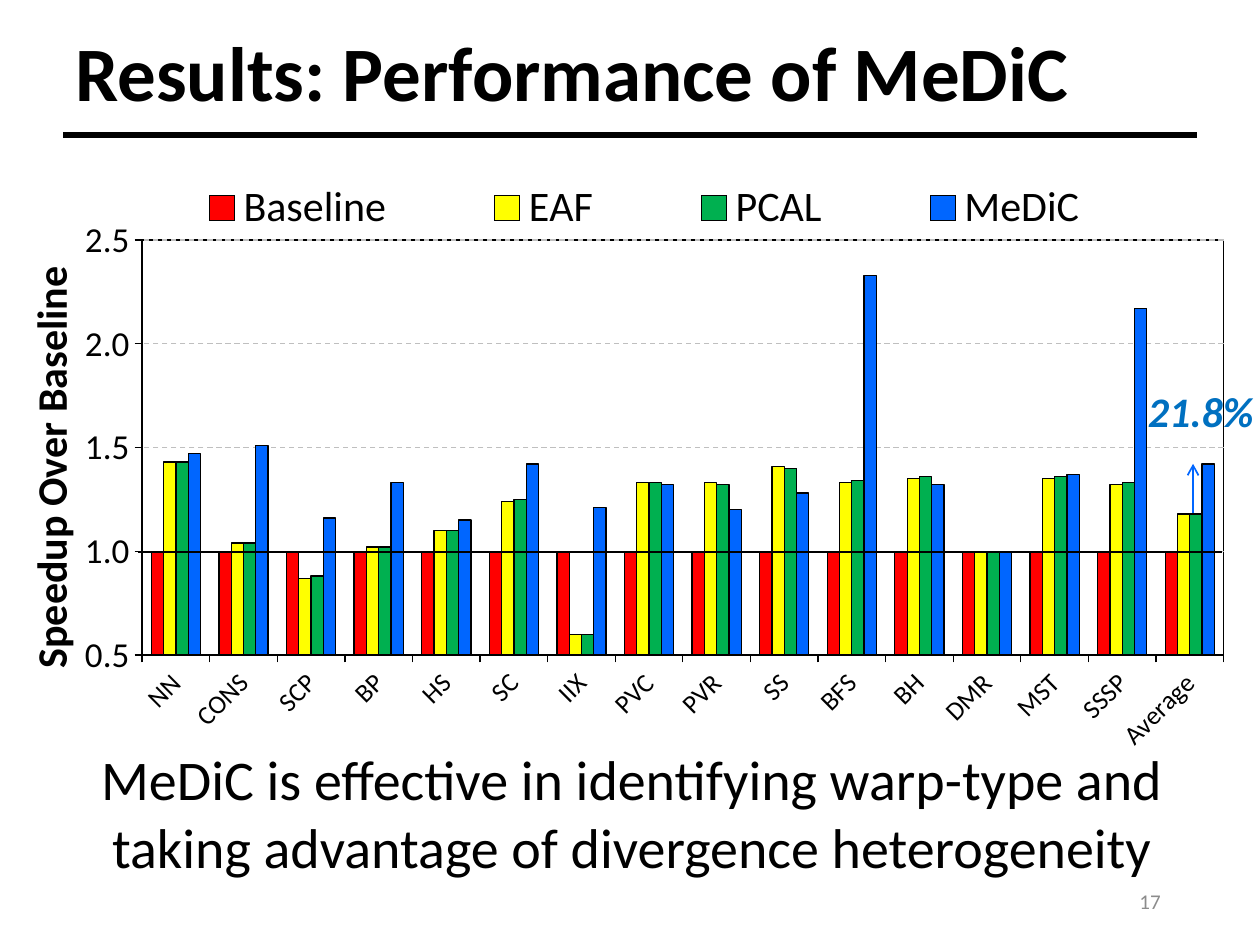
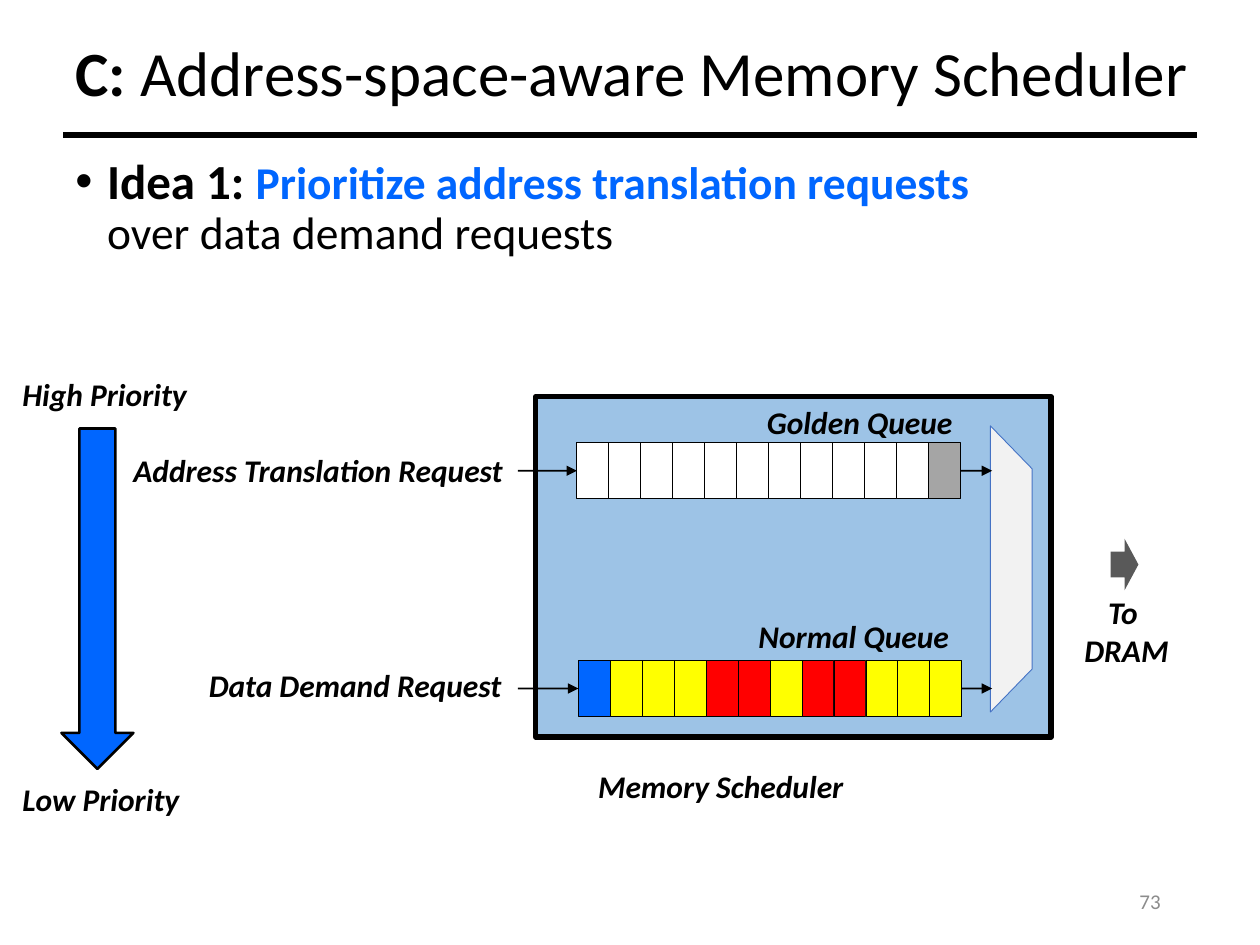
"""Build two slides: a speedup chart and a memory scheduler diagram."""
from dataclasses import dataclass
from typing import NamedTuple

from lxml.etree import SubElement
from pptx import Presentation
from pptx.chart.data import CategoryChartData
from pptx.dml.color import RGBColor
from pptx.enum.chart import XL_CHART_TYPE, XL_LEGEND_POSITION, XL_TICK_MARK
from pptx.enum.dml import MSO_LINE
from pptx.enum.shapes import MSO_CONNECTOR, MSO_SHAPE as SHAPE
from pptx.enum.text import MSO_ANCHOR as ANCHOR, MSO_AUTO_SIZE as FIT, PP_ALIGN as ALIGN
from pptx.oxml import parse_xml
from pptx.oxml.ns import nsdecls, qn
from pptx.util import Cm, Pt


@dataclass(frozen=True)
class Theme:
    """Colours, font and type sizes of the deck."""
    font: str = "Calibri"
    black: str = "000000"
    white: str = "FFFFFF"
    blue: str = "0066FF"
    gain: str = "0070C0"
    red: str = "FF0000"
    yellow: str = "FFFF00"
    green: str = "00B050"
    grid: str = "BFBFBF"
    number: str = "8C8C8C"
    scheduler: str = "9DC3E6"
    golden: str = "A5A5A5"
    mux: str = "F2F2F2"
    mux_line: str = "4472C4"
    exit: str = "595959"
    title_size: int = 44
    long_title_size: int = 36
    caption_size: int = 32
    idea_size: int = 28
    detail_size: int = 26
    chart_size: int = 24
    value_size: int = 20
    label_size: int = 18
    category_size: int = 15
    number_size: int = 12


T = Theme()


class Box(NamedTuple):
    """Left, top, width and height in centimetres."""
    left: float
    top: float
    width: float
    height: float

    def emu(self) -> list:
        """Return the four lengths for a drawing call."""
        return [Cm(v) for v in self]


class Run(NamedTuple):
    """A piece of text in one style."""
    text: str
    size: int
    color: str = T.black
    bold: bool = False
    italic: bool = False


class Series(NamedTuple):
    """One chart series with its colour."""
    name: str
    color: str
    values: tuple


class Queue(NamedTuple):
    """A request queue with its labels and cell colours."""
    name: str
    name_box: Box
    request: str
    request_box: Box
    left: float
    top: float
    colors: list


TITLE = Box(1.27, 0.36, 22.86, 2.36)
CHART = Box(-0.2, 3.18, 25.12, 14.55)
CELL_W, CELL_H = 7.73 / 12, 1.14
ENTRY_X, MUX_X = 10.44, 20.0

CATEGORIES = ("NN CONS SCP BP HS SC IIX PVC PVR SS BFS BH DMR MST SSSP "
              "Average").split()
SERIES = [
    Series("Baseline", T.red, (1,) * 16),
    Series("EAF", T.yellow, (1.43, 1.04, 0.87, 1.02, 1.1, 1.24, 0.6, 1.33,
                             1.33, 1.41, 1.33, 1.35, 1, 1.35, 1.32, 1.18)),
    Series("PCAL", T.green, (1.43, 1.04, 0.88, 1.02, 1.1, 1.25, 0.6, 1.33,
                             1.32, 1.4, 1.34, 1.36, 1, 1.36, 1.33, 1.18)),
    Series("MeDiC", T.blue, (1.47, 1.51, 1.16, 1.33, 1.15, 1.42, 1.21, 1.32,
                             1.2, 1.28, 2.33, 1.32, 1, 1.37, 2.17, 1.42)),
]
QUEUES = [
    Queue("Golden Queue", Box(15.21, 8, 4.29, 1.02),
          "Address Translation Request", Box(2.44, 8.97, 8.05, 1.02),
          11.63, 8.92, [T.white] * 11 + [T.golden]),
    Queue("Normal Queue", Box(15.04, 12.32, 4.39, 1.02),
          "Data Demand Request", Box(3.96, 13.31, 6.48, 1.02),
          11.66, 13.31,
          [T.blue] + [T.yellow] * 3 + [T.red] * 2 + [T.yellow]
          + [T.red] * 2 + [T.yellow] * 3),
]


def rgb(color: str) -> RGBColor:
    """Turn a hex string into a colour."""
    return RGBColor.from_string(color)


def set_font(font, size: int, color: str = T.black, bold: bool = False,
             italic: bool = False) -> None:
    """Apply the deck font in one style."""
    fmt = {"name": T.font, "size": Pt(size), "bold": bold, "italic": italic}
    for key, value in fmt.items():
        setattr(font, key, value)
    font.color.rgb = rgb(color)


def set_line(line, color: str, width: float) -> None:
    """Give a line its colour and its width in points."""
    line.color.rgb = rgb(color)
    line.width = Pt(width)


def add_text(s, box: Box, *paragraphs: list[Run], wrap: bool = True,
             anchor=ANCHOR.TOP, align=ALIGN.LEFT, fit=FIT.NONE, **fmt):
    """Add a text box and return its text frame."""
    tf = s.shapes.add_textbox(*box.emu()).text_frame
    for key, value in {"word_wrap": wrap, "vertical_anchor": anchor,
                       "auto_size": fit}.items():
        setattr(tf, key, value)
    for i, runs in enumerate(paragraphs):
        p = tf.add_paragraph() if i else tf.paragraphs[0]
        for key, value in {"alignment": align, **fmt}.items():
            setattr(p, key, value)
        for run in runs:
            if run.text == "\n":
                p.add_line_break()
                continue
            r = p.add_run()
            r.text = run.text
            set_font(r.font, *run[1:])
    return tf


def add_label(s, text: str, box: Box) -> None:
    """Add a one-line bold italic label."""
    add_text(s, box, [Run(text, T.label_size, bold=True, italic=True)],
             wrap=False, fit=FIT.SHAPE_TO_FIT_TEXT)


def add_shape(s, kind, box: Box, fill: str, line: str | None = T.black,
              width: float = 0.5, rotation: float = 0):
    """Add a filled preset shape."""
    sp = s.shapes.add_shape(kind, *box.emu())
    sp.shadow.inherit = False
    sp.rotation = rotation
    sp.fill.solid()
    sp.fill.fore_color.rgb = rgb(fill)
    if line:
        set_line(sp.line, line, width)
    else:
        sp.line.fill.background()
    return sp


def add_line(s, x1: float, y1: float, x2: float, y2: float,
             color: str = T.black, width: float = 1, **ends: str):
    """Add a straight line; ends maps headEnd or tailEnd to an arrow type."""
    c = s.shapes.add_connector(MSO_CONNECTOR.STRAIGHT,
                               Cm(x1), Cm(y1), Cm(x2), Cm(y2))
    set_line(c.line, color, width)
    ln = c.line._get_or_add_ln()
    for end, kind in ends.items():
        SubElement(ln, qn(f"a:{end}"), type=kind)
    SubElement(c._element.spPr, qn("a:effectLst"))
    return c


def add_frame(s, title: list[Run], number: int, width: float) -> None:
    """Add the title, the rule below it and the slide number."""
    add_text(s, TITLE._replace(width=width), title, anchor=ANCHOR.MIDDLE,
             line_spacing=0.9)
    add_line(s, 1.27, 2.72, 24.13, 2.72, width=3)
    add_text(s, Box(17.93, 17.65, 5.72, 1.02),
             [Run(str(number), T.number_size, T.number)],
             anchor=ANCHOR.MIDDLE, align=ALIGN.RIGHT)


def set_layout(parent, index: int, inner: bool = False, **place: float) -> None:
    """Place a chart part by fractions of the chart area."""
    for old in parent.findall(qn("c:layout")):
        parent.remove(old)
    target = '<c:layoutTarget val="inner"/>' if inner else ""
    modes = '<c:xMode val="edge"/><c:yMode val="edge"/>'
    values = "".join(f'<c:{k} val="{v}"/>' for k, v in place.items())
    parent.insert(index, parse_xml(
        f'<c:layout {nsdecls("c")}><c:manualLayout>{target}{modes}{values}'
        '</c:manualLayout></c:layout>'))


def clear_area(line: str):
    """Return chart area properties without fill and with the given line."""
    return parse_xml(f'<c:spPr {nsdecls("c", "a")}><a:noFill/>{line}</c:spPr>')


def add_speedup_chart(s) -> None:
    """Add the clustered columns of speedup by benchmark."""
    data = CategoryChartData()
    data.categories = CATEGORIES
    for series in SERIES:
        data.add_series(series.name, series.values)
    chart = s.shapes.add_chart(XL_CHART_TYPE.COLUMN_CLUSTERED, *CHART.emu(),
                               data).chart
    set_font(chart.font, T.category_size)
    chart.has_title = False
    chart.has_legend = True
    chart.legend.position = XL_LEGEND_POSITION.TOP
    chart.legend.include_in_layout = False
    set_font(chart.legend.font, T.chart_size)

    plot = chart.plots[0]
    plot.gap_width, plot.overlap, plot.vary_by_categories = 150, 0, False
    for series, bars in zip(SERIES, plot.series):
        bars.format.fill.solid()
        bars.format.fill.fore_color.rgb = rgb(series.color)
        set_line(bars.format.line, T.black, 0.75)

    cat, val = chart.category_axis, chart.value_axis
    for axis, size in ((cat, T.category_size), (val, T.value_size)):
        axis.major_tick_mark = XL_TICK_MARK.OUTSIDE
        set_font(axis.tick_labels.font, size)
        set_line(axis.format.line, T.black, 0.75)
    for key, value in {"minimum_scale": 0.5, "maximum_scale": 2.5,
                       "major_unit": 0.5, "has_major_gridlines": True}.items():
        setattr(val, key, value)
    val.tick_labels.number_format = "#,##0.0"
    val.tick_labels.number_format_is_linked = False
    grid = val.major_gridlines.format.line
    set_line(grid, T.grid, 0.75)
    grid.dash_style = MSO_LINE.DASH
    r = val.axis_title.text_frame.paragraphs[0].add_run()
    r.text = "Speedup Over Baseline"
    set_font(r.font, T.chart_size, bold=True)

    space = chart._chartSpace
    area = space.find(f".//{qn('c:plotArea')}")
    cat._element.find(f"{qn('c:txPr')}/{qn('a:bodyPr')}").set("rot", "-2700000")
    set_layout(area, 0, inner=True, x=0.122, y=0.114, w=0.868, h=0.575)
    set_layout(chart.legend._element, 1, x=0.1, y=0.03, w=0.85, h=0.08)
    set_layout(val.axis_title._element, 1, x=0.02, y=0.14)
    area.append(clear_area('<a:ln w="9525"><a:solidFill><a:srgbClr '
                           f'val="{T.black}"/></a:solidFill></a:ln>'))
    space.find(qn("c:chart")).addnext(clear_area("<a:ln><a:noFill/></a:ln>"))


def add_queue(s, queue: Queue) -> None:
    """Add a row of cells with its labels and arrows."""
    cells = [add_shape(s, SHAPE.RECTANGLE,
                       Box(queue.left + i * CELL_W, queue.top, CELL_W, CELL_H), color)
             for i, color in enumerate(queue.colors)]
    add_label(s, queue.name, queue.name_box)
    add_label(s, queue.request, queue.request_box)
    y = queue.top + CELL_H / 2
    entry = add_line(s, ENTRY_X, y, queue.left, y, tailEnd="triangle")
    entry.end_connect(cells[0], 1)
    leave = add_line(s, queue.left + 12 * CELL_W, y, MUX_X, y, tailEnd="triangle")
    leave.begin_connect(cells[-1], 3)


def build_results(s) -> None:
    """Draw the performance results slide."""
    add_line(s, 24.05, 10.77, 24.05, 9.35, T.blue, headEnd="arrow", tailEnd="arrow")
    add_speedup_chart(s)
    add_frame(s, [Run("Results: Performance of MeDiC", T.title_size, bold=True)],
              17, 22.86)
    add_text(s, Box(22.89, 7.65, 2.87, 1.27),
             [Run("21.8%", T.chart_size, T.gain, True, True)],
             wrap=False, fit=FIT.SHAPE_TO_FIT_TEXT)
    add_text(s, Box(0.86, 14.91, 23.77, 2.92),
             [Run("MeDiC is effective in identifying warp-type and taking "
                  "advantage of divergence heterogeneity", T.caption_size)],
             anchor=ANCHOR.MIDDLE, align=ALIGN.CENTER)
    add_line(s, 2.79, 11.13, 24.64, 11.13)


def build_scheduler(s) -> None:
    """Draw the memory scheduler slide."""
    add_frame(s, [Run("C: ", T.long_title_size, bold=True),
                  Run("Address-space-aware Memory Scheduler", T.long_title_size)],
              73, 24.13)
    tf = add_text(s, Box(1.27, 3.05, 23.5, 15.32),
                  [Run("Idea 1: ", T.idea_size, bold=True),
                   Run("Prioritize address translation requests", T.detail_size,
                       T.blue, True),
                   Run("\n", T.detail_size),
                   Run("over data demand requests", T.detail_size)],
                  line_spacing=0.9, space_before=Pt(10))
    pPr = tf.paragraphs[0]._p.get_or_add_pPr()
    pPr.set("marL", str(Cm(0.64)))
    pPr.set("indent", str(-Cm(0.64)))
    SubElement(pPr, qn("a:buFont"), typeface="Arial")
    SubElement(pPr, qn("a:buChar"), char="•")

    add_shape(s, SHAPE.RECTANGLE, Box(10.8, 8, 10.39, 6.86), T.scheduler, width=3)
    add_shape(s, SHAPE.DOWN_ARROW, Box(22.15, 11.1, 1.04, 0.56), T.exit, None,
              rotation=270)
    add_text(s, Box(21.21, 11.84, 3, 1.47),
             *[[Run(word, T.label_size, bold=True, italic=True)]
               for word in ("To ", "DRAM")], align=ALIGN.CENTER)
    mux = add_shape(s, SHAPE.TRAPEZOID, Box(17.5, 11.05, 5.77, 0.84), T.mux,
                    T.mux_line, rotation=90)
    mux.adjustments[0] = 1.03
    add_label(s, "Memory Scheduler", Box(11.81, 15.34, 5.66, 0.84))
    for queue in QUEUES:
        add_queue(s, queue)
    add_shape(s, SHAPE.DOWN_ARROW, Box(1.24, 8.64, 1.45, 6.86), T.blue, width=1.5)
    add_label(s, "High Priority", Box(0.2, 7.44, 3.86, 1.02))
    add_label(s, "Low Priority", Box(0.2, 15.6, 3.71, 1.02))


def main() -> None:
    """Build and save the deck."""
    prs = Presentation()
    prs.slide_width, prs.slide_height = Cm(25.4), Cm(19.05)
    for build in (build_results, build_scheduler):
        build(prs.slides.add_slide(prs.slide_layouts[6]))
    prs.save("out.pptx")


if __name__ == "__main__":
    main()
